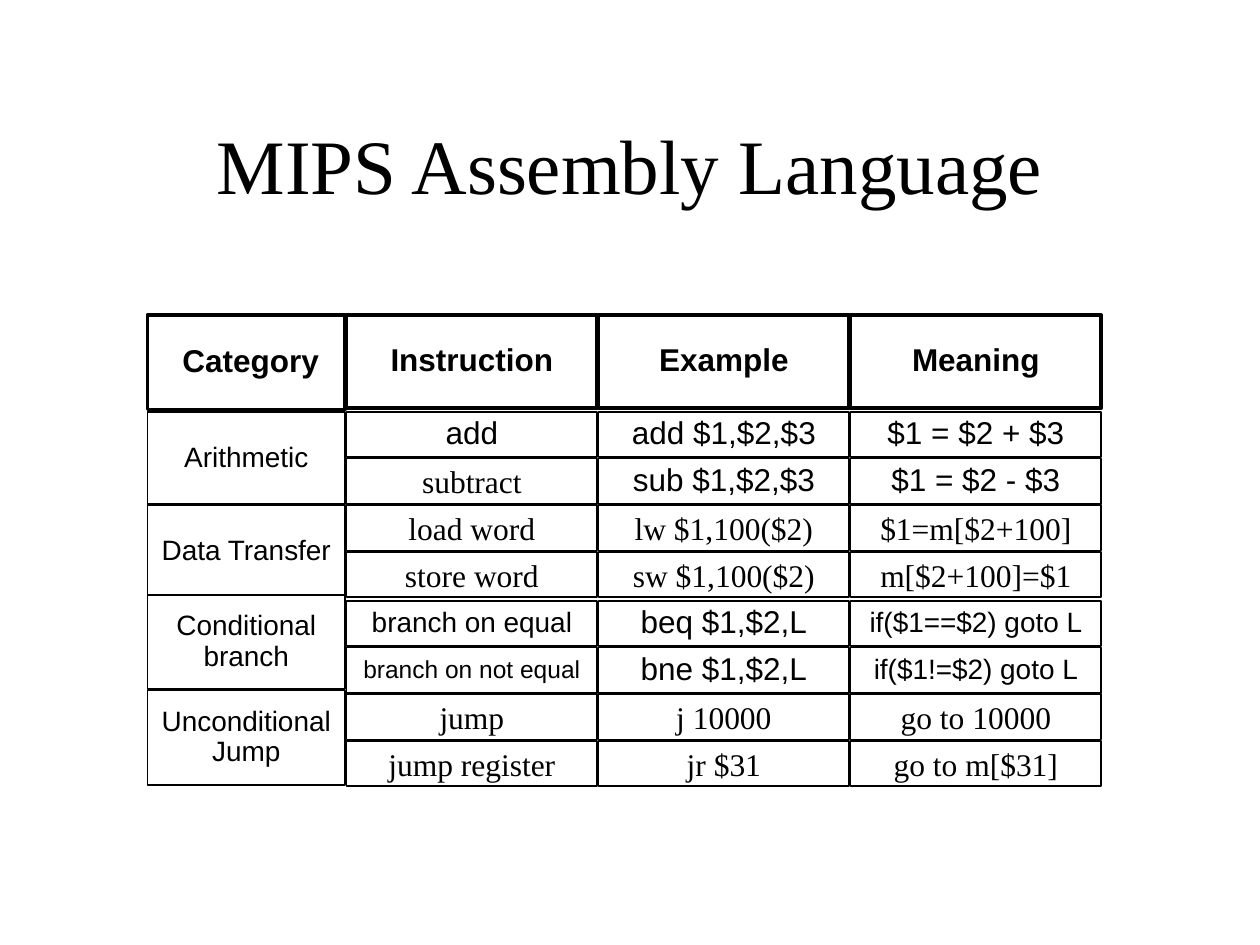
"""Build the MIPS assembly language instruction slide."""
from pptx import Presentation
from pptx.dml.color import RGBColor
from pptx.enum import shapes, text
from pptx.util import Pt

THEME = {
    "ink": RGBColor(0, 0, 0), "paper": RGBColor(255, 255, 255),
    "sans": "Arial", "serif": "Times New Roman",
    "title": 44, "body": 18, "small": 16, "tiny": 14,
}
CATEGORY_LEFT, CATEGORY_W = 84.24, 113.04
COLUMN_LEFT, COLUMN_PITCH, COLUMN_W = 198, 144, 143.28
HEADER_TOP, HEADER_H = 180, 53.28
ROW_TOP, ROW_PITCH, ROW_H = 235.44, 26.64, 25.92
HALF_GAP = 1.44


def write(sp, words, font, size, bold=False):
    tf = sp.text_frame
    tf.word_wrap = True
    tf.vertical_anchor = text.MSO_ANCHOR.MIDDLE
    p = tf.paragraphs[0]
    p.text = words
    p.alignment = text.PP_ALIGN.CENTER
    for r in p.runs:
        r.font.name = THEME[font]
        r.font.size = Pt(THEME[size])
        r.font.bold = bold
        r.font.color.rgb = THEME["ink"]
    return p


def add_cell(box, words, font="sans", size="body", header=False):
    sp = s.shapes.add_shape(shapes.MSO_SHAPE.RECTANGLE, *map(Pt, box))
    sp.shadow.inherit = False
    if header:
        sp.fill.background()
    else:
        sp.fill.solid()
        sp.fill.fore_color.rgb = THEME["paper"]
    sp.line.color.rgb = THEME["ink"]
    sp.line.width = Pt(2 if header else 1)
    p = write(sp, words, font, size, header)
    if font == "serif":
        p.space_before = Pt(2)
    else:
        p.line_spacing = 0.9


prs = Presentation()
prs.slide_width, prs.slide_height = Pt(720), Pt(540)
s = prs.slides.add_slide(prs.slide_layouts[6])

title = s.shapes.add_textbox(Pt(54), Pt(48.24), Pt(612), Pt(90))
write(title, "MIPS Assembly Language", "serif", "title")

add_cell((CATEGORY_LEFT, HEADER_TOP, CATEGORY_W, 54), " Category", header=True)
for col, words in enumerate(("Instruction", "Example", "Meaning")):
    left = COLUMN_LEFT + col * COLUMN_PITCH
    add_cell((left, HEADER_TOP, COLUMN_W, HEADER_H), words, header=True)

categories = [
    ("Arithmetic", 235.44, 52.56),
    ("Data Transfer", 288.72, 52.56),
    ("Conditional branch", 339.84, 54),
    ("Unconditional\vJump", 394.56, 54),
]
for words, top, height in categories:
    add_cell((CATEGORY_LEFT, top, CATEGORY_W, height), words, size="small")

instructions = [
    ("add", "add $1,$2,$3", "$1 = $2 + $3"),
    ("subtract", "sub $1,$2,$3", "$1 = $2 - $3"),
    ("load word", "lw $1,100($2)", "$1=m[$2+100]"),
    ("store word", "sw $1,100($2)", "m[$2+100]=$1"),
    ("branch on equal", "beq $1,$2,L", "if($1==$2) goto L"),
    ("branch on not equal", "bne $1,$2,L", "if($1!=$2) goto L"),
    ("jump", "j 10000", "go to 10000"),
    ("jump register", "jr $31", "go to m[$31]"),
]
serif_rows = (2, 3, 6, 7)
sizes = {"branch on equal": "small", "branch on not equal": "tiny",
         "if($1==$2) goto L": "small", "if($1!=$2) goto L": "small"}
for row, cells in enumerate(instructions):
    top = ROW_TOP + row * ROW_PITCH + (HALF_GAP if row >= 4 else 0)
    for col, words in enumerate(cells):
        left = COLUMN_LEFT + col * COLUMN_PITCH
        font = "serif" if row in serif_rows or words == "subtract" else "sans"
        add_cell((left, top, COLUMN_W, ROW_H), words, font, sizes.get(words, "body"))

prs.save("out.pptx")
